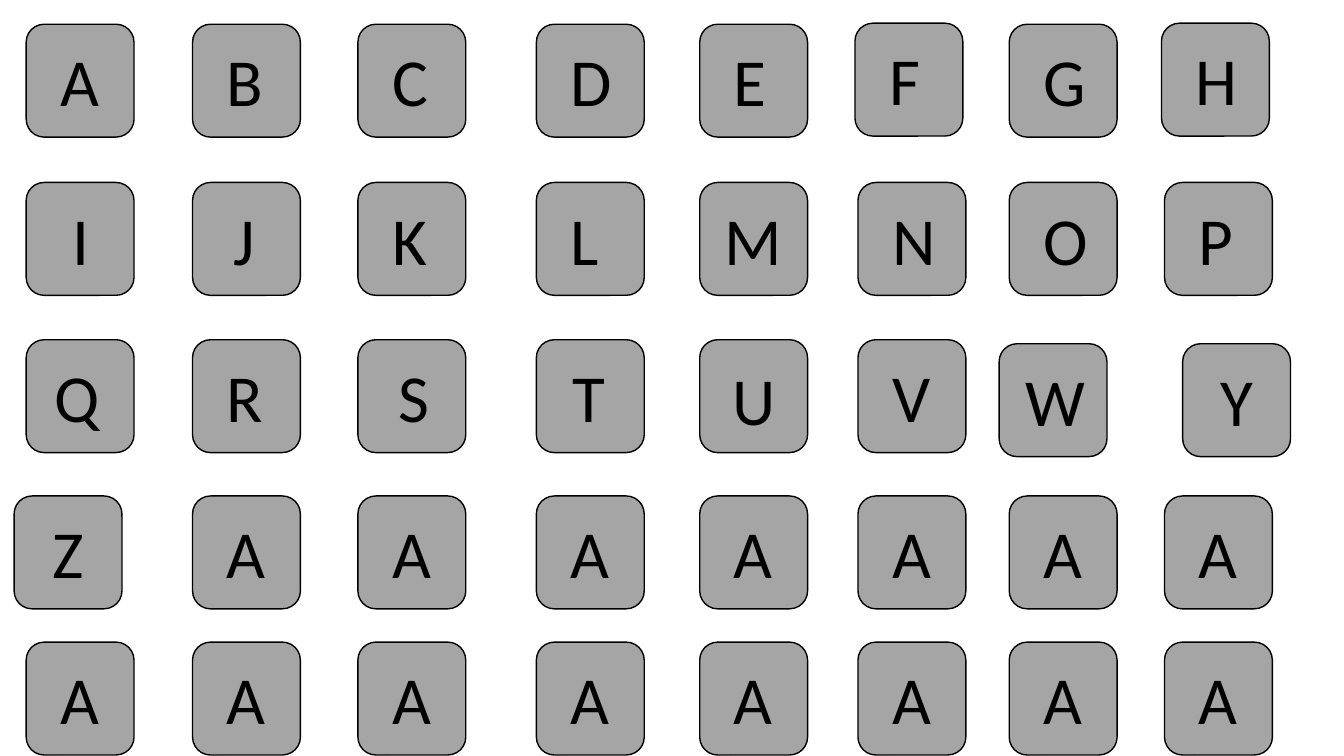
import pptx
import pptx.util
import pptx.dml.color
import pptx.enum.shapes
import pptx.enum.text

KEY_GRAY = pptx.dml.color.RGBColor(0xA5, 0xA5, 0xA5)
BLACK = pptx.dml.color.RGBColor(0x00, 0x00, 0x00)
inches = pptx.util.Inches

deck = pptx.Presentation()
deck.slide_width, deck.slide_height = inches(13.33), inches(7.5)
keyboard = deck.slides.add_slide(deck.slide_layouts[6])

# Grid of keys, in inches
letter_rows = ["ABCDEFGH", "IJKLMNOP", "QRSTUVWY", "ZAAAAAAA", "AAAAAAAA"]
column_lefts = [0.26, 1.91, 3.55, 5.32, 6.94, 8.51, 10.01, 11.55]
row_tops = [0.24, 1.81, 3.37, 4.92, 6.37]
key_width, key_height = 1.07, 1.12
letter_width, letter_height = 0.59, 0.91
letter_inset_x = (key_width - letter_width) / 2
letter_inset_y = (key_height - letter_height) / 2

# Keys that sit off the grid, and letters that sit off their key's centre
key_shifts = {"F": (-0.03, -0.01), "H": (-0.03, -0.01), "W": (-0.1, 0.04),
              "Y": (0.18, 0.04), "Z": (-0.12, 0)}
letter_shifts = {"I": (0.12, 0), "J": (0.07, 0), "M": (-0.09, 0),
                 "Q": (-0.06, 0), "S": (0.06, 0), "T": (0.02, 0),
                 "U": (-0.01, 0.03), "W": (-0.08, 0), "Y": (0.04, 0),
                 "Z": (0.04, 0)}

for row_top, letters in zip(row_tops, letter_rows):
    for column_left, letter in zip(column_lefts, letters):
        shift_x, shift_y = key_shifts.get(letter, (0, 0))
        key_left, key_top = column_left + shift_x, row_top + shift_y

        # Key
        key = keyboard.shapes.add_shape(
            pptx.enum.shapes.MSO_SHAPE.ROUNDED_RECTANGLE,
            inches(key_left), inches(key_top), inches(key_width), inches(key_height))
        key.shadow.inherit = False
        key.fill.solid()
        key.fill.fore_color.rgb = KEY_GRAY
        key.line.color.rgb = BLACK
        key.line.width = pptx.util.Pt(1)

        # Letter on the key
        shift_x, shift_y = letter_shifts.get(letter, (0, 0))
        label = keyboard.shapes.add_textbox(
            inches(key_left + letter_inset_x + shift_x),
            inches(key_top + letter_inset_y + shift_y),
            inches(letter_width), inches(letter_height))
        label.text_frame.word_wrap = True
        label.text_frame.auto_size = pptx.enum.text.MSO_AUTO_SIZE.SHAPE_TO_FIT_TEXT
        label.text_frame.text = letter
        font = label.text_frame.paragraphs[0].runs[0].font
        font.name = "Calibri"
        font.size = pptx.util.Pt(48)
        font.color.rgb = BLACK

deck.save("out.pptx")
